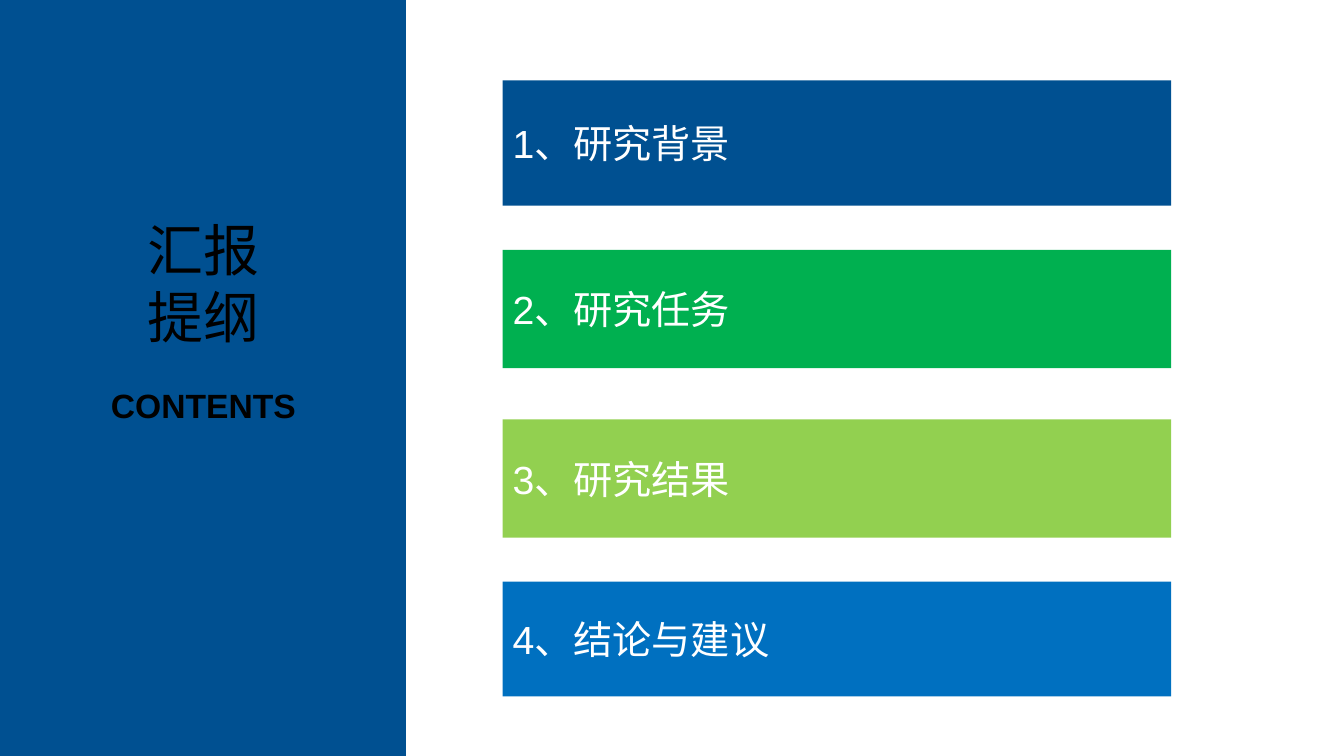
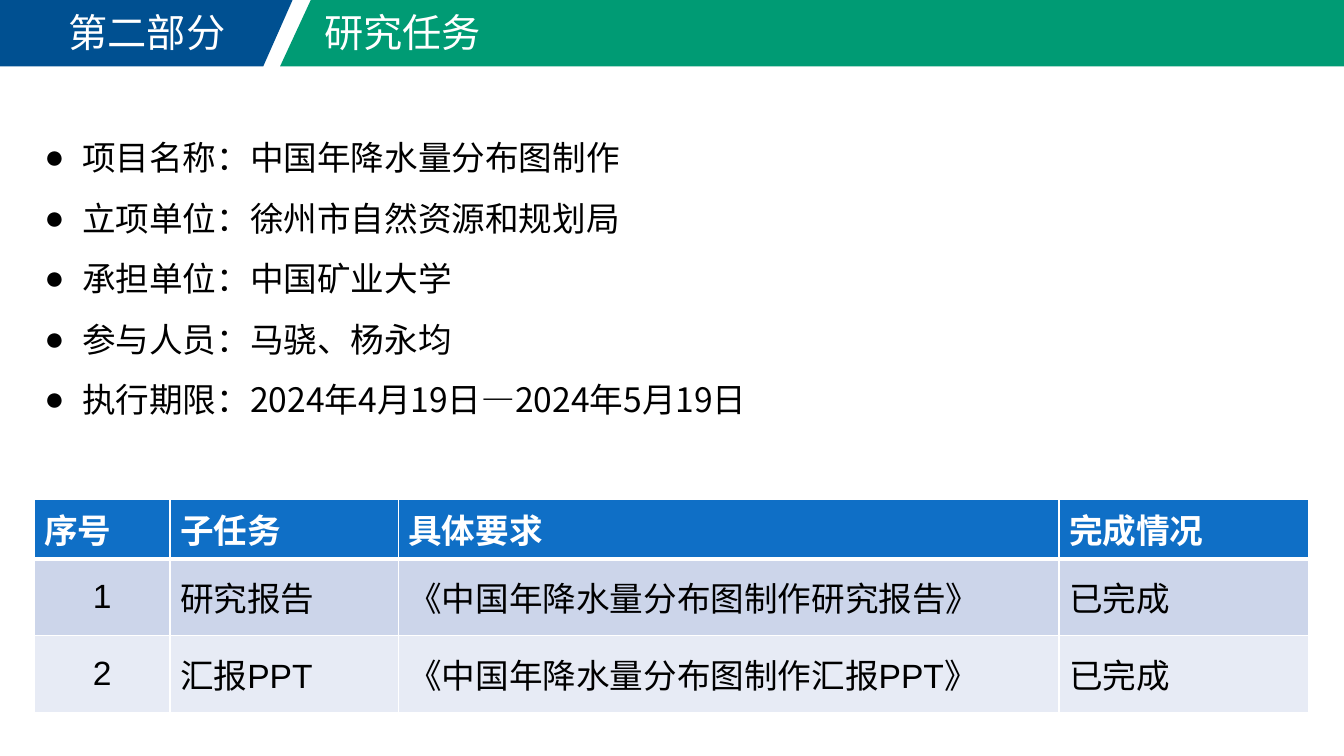
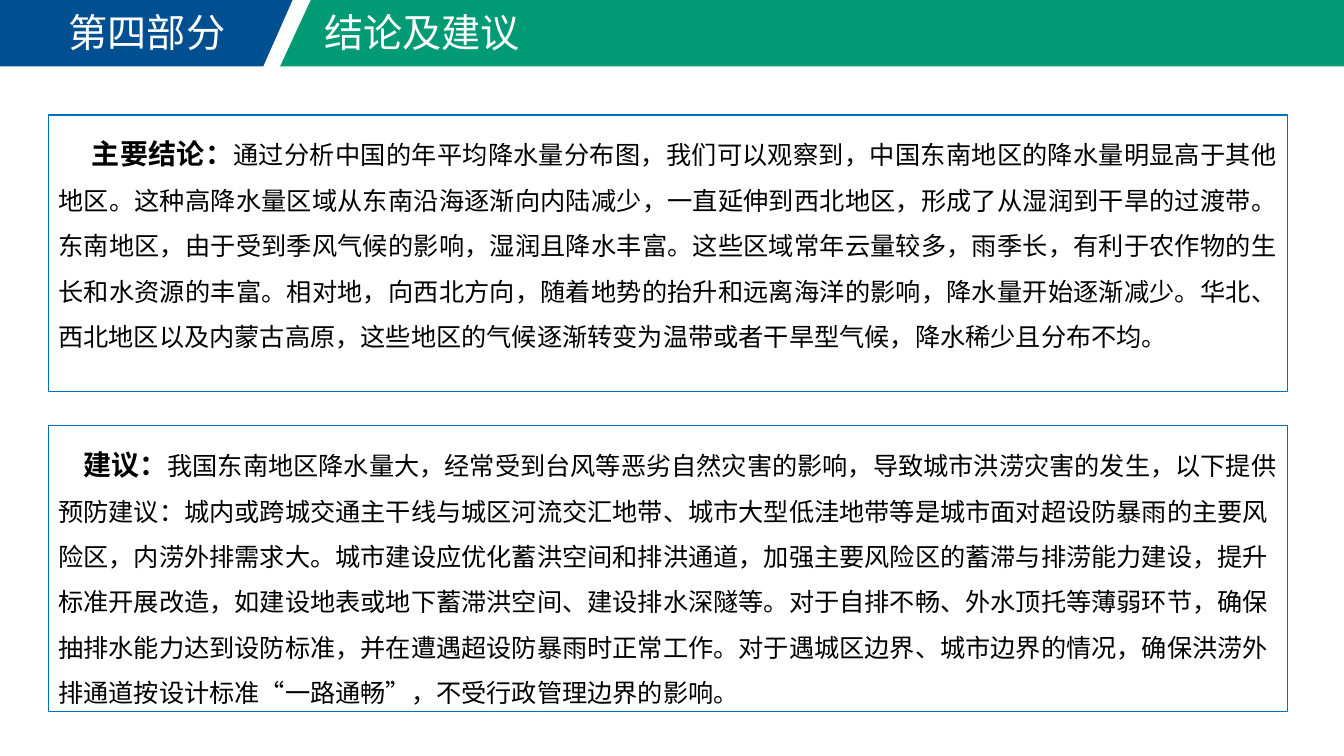
import dataclasses

import lxml.etree
import pptx
import pptx.dml.color
import pptx.enum.shapes
import pptx.enum.text
import pptx.oxml.ns
import pptx.util

Pt = pptx.util.Pt
RGB = pptx.dml.color.RGBColor.from_string
ALIGN = pptx.enum.text.PP_ALIGN
ANCHOR = pptx.enum.text.MSO_ANCHOR
RECTANGLE = pptx.enum.shapes.MSO_SHAPE.RECTANGLE
NO_AUTOFIT = pptx.enum.text.MSO_AUTO_SIZE.NONE
qn = pptx.oxml.ns.qn


@dataclasses.dataclass(frozen=True)
class Theme:
    navy: str = "005091"
    teal: str = "009B74"
    green: str = "00B050"
    lime: str = "92D050"
    blue: str = "0070C0"
    table_head: str = "0F6FC6"
    table_rows: tuple = ("CCD5EA", "E7EBF5")
    white: str = "FFFFFF"
    black: str = "000000"
    latin: str = "Arial"
    chinese: str = "Noto Sans CJK SC"
    serif: str = "Times New Roman"
    cover: int = 40
    heading: int = 28
    text: int = 24
    lead: int = 20
    prose: int = 18


theme = Theme()


def add_run(paragraph, text, size, color=theme.black, font=theme.latin, bold=False):
    run = paragraph.add_run()
    run.text = text
    run.font.size = Pt(size)
    run.font.bold = bold
    run.font.color.rgb = RGB(color)
    run.font.name = font
    properties = run.font._element
    properties.set("lang", "zh-CN")
    lxml.etree.SubElement(properties, qn("a:ea")).set("typeface", theme.chinese)


def paint(shape, fill, outline=None):
    shape.shadow.inherit = False
    shape.fill.solid()
    shape.fill.fore_color.rgb = RGB(fill)
    if outline:
        shape.line.color.rgb = RGB(outline)
        shape.line.width = Pt(1)
    else:
        shape.line.fill.background()


deck = pptx.Presentation()
deck.slide_width, deck.slide_height = Pt(960), Pt(540)
content_layout, title_layout = deck.slide_layouts[1], deck.slide_layouts[5]

# Contents slide: side panel with title
contents = deck.slides.add_slide(title_layout)
panel = contents.shapes.add_shape(RECTANGLE, 0, 0, Pt(290), Pt(540))
paint(panel, theme.navy)

# Contents slide: agenda bars
agenda = [
    ("1、研究背景", theme.navy, 57.5, 89.5),
    ("2、研究任务", theme.green, 178.5, 84.5),
    ("3、研究结果", theme.lime, 299.5, 84.5),
    ("4、结论与建议", theme.blue, 415.5, 82),
]
for entry, color, top, height in agenda:
    bar = contents.shapes.add_shape(RECTANGLE, Pt(359), Pt(top), Pt(477.5), Pt(height))
    paint(bar, color)
    bar.text_frame.vertical_anchor = ANCHOR.MIDDLE
    line = bar.text_frame.paragraphs[0]
    line.alignment = ALIGN.LEFT
    add_run(line, entry, theme.heading, theme.white)

subtitle = contents.shapes.add_textbox(Pt(68.5), Pt(271.5), Pt(153.5), Pt(36.5))
subtitle.text_frame.word_wrap = True
line = subtitle.text_frame.paragraphs[0]
line.alignment = ALIGN.CENTER
add_run(line, "CONTENTS", theme.text, bold=True)

cover_title = contents.shapes.title
cover_title.left, cover_title.top = Pt(89), Pt(150)
cover_title.width, cover_title.height = Pt(112.5), Pt(104.5)
cover_title.text_frame.auto_size = NO_AUTOFIT
cover_title.text_frame.vertical_anchor = ANCHOR.TOP
line = cover_title.text_frame.paragraphs[0]
line.alignment = ALIGN.CENTER
add_run(line, "汇报提纲", theme.cover)
# The title lies in front of the panel
cover_title.element.getparent().append(cover_title.element)

# Section slides: slanted header bands, part label and title
bands = [
    (theme.navy, [(0, 0), (209, 0), (188, 47.5), (0, 47.5)]),
    (theme.teal, [(222, 0), (960, 0), (960, 47.5), (200, 47.5)]),
]
sections = [
    (content_layout, "第二部分", "研究任务"),
    (title_layout, "第四部分", "结论及建议"),
]
section_slides = []
for layout, part, heading in sections:
    section = deck.slides.add_slide(layout)
    section_slides.append(section)
    for color, corners in bands:
        start, *others = [(Pt(x), Pt(y)) for x, y in corners]
        outline = section.shapes.build_freeform(*start)
        outline.add_line_segments(others, close=True)
        paint(outline.convert_to_shape(), color)

    label = section.shapes.add_textbox(Pt(24.5), Pt(6), Pt(161), Pt(34))
    frame = label.text_frame
    frame.word_wrap = True
    frame.margin_left = frame.margin_right = frame.margin_top = frame.margin_bottom = 0
    frame.paragraphs[0].alignment = ALIGN.CENTER
    add_run(frame.paragraphs[0], part, theme.heading, theme.white)

    title = section.shapes.title
    title.left, title.top = Pt(224.5), Pt(2)
    title.width, title.height = Pt(theme.heading * len(heading) + 15), Pt(41)
    title.text_frame.auto_size = NO_AUTOFIT
    title.text_frame.word_wrap = False
    title.text_frame.vertical_anchor = ANCHOR.TOP
    title.text_frame.paragraphs[0].alignment = ALIGN.LEFT
    add_run(title.text_frame.paragraphs[0], heading, theme.heading, theme.white)
    title.element.getparent().append(title.element)

tasks, conclusions = section_slides

# Task slide: project facts
facts = [
    "项目名称：中国年降水量分布图制作",
    "立项单位：徐州市自然资源和规划局",
    "承担单位：中国矿业大学",
    "参与人员：马骁、杨永均",
    "执行期限：2024年4月19日—2024年5月19日",
]
fact_list = tasks.placeholders[1]
fact_list.left, fact_list.top = Pt(24.5), Pt(80)
fact_list.width, fact_list.height = Pt(919.5), Pt(219)
fact_list.text_frame.auto_size = NO_AUTOFIT
for number, fact in enumerate(facts):
    frame = fact_list.text_frame
    line = frame.add_paragraph() if number else frame.paragraphs[0]
    line.line_spacing = 1.5
    line.space_before = Pt(0)
    bullet = lxml.etree.SubElement(line._p.get_or_add_pPr(), qn("a:buChar"))
    bullet.set("char", "●")
    add_run(line, fact, theme.text, font=theme.chinese)

# Task slide: subtask table
subtasks = [
    ("序号", "子任务", "具体要求", "完成情况"),
    ("1", "研究报告", "《中国年降水量分布图制作研究报告》", "已完成"),
    ("2", "汇报PPT", "《中国年降水量分布图制作汇报PPT》", "已完成"),
]
column_widths = (97, 163, 472, 178)
row_heights = (36, 55, 55)
subtask_table = tasks.shapes.add_table(
    len(row_heights), len(column_widths), Pt(24.5), Pt(357),
    Pt(sum(column_widths)), Pt(sum(row_heights))).table
for column, width in zip(subtask_table.columns, column_widths):
    column.width = Pt(width)
for r, (entries, height) in enumerate(zip(subtasks, row_heights)):
    subtask_table.rows[r].height = Pt(height)
    is_head = r == 0
    borders = {"L": 1, "R": 1, "T": 3 if r == 1 else 1, "B": 3 if is_head else 1}
    for c, entry in enumerate(entries):
        cell = subtask_table.cell(r, c)
        for side, weight in borders.items():
            border = lxml.etree.SubElement(cell._tc.get_or_add_tcPr(), qn("a:ln" + side))
            border.set("w", str(Pt(weight)))
            border_fill = lxml.etree.SubElement(border, qn("a:solidFill"))
            lxml.etree.SubElement(border_fill, qn("a:srgbClr")).set("val", theme.white)
        cell.fill.solid()
        cell.fill.fore_color.rgb = RGB(theme.table_head if is_head else theme.table_rows[r - 1])
        cell.vertical_anchor = ANCHOR.TOP if is_head else ANCHOR.MIDDLE
        line = cell.text_frame.paragraphs[0]
        line.alignment = ALIGN.CENTER if c == 0 and not is_head else ALIGN.LEFT
        add_run(line, entry, theme.text, theme.white if is_head else theme.black, bold=is_head)

# Conclusion slide: framed paragraphs
statements = [
    (82, 197.5, 24, ALIGN.JUSTIFY, "主要结论：",
     "通过分析中国的年平均降水量分布图，我们可以观察到，中国东南地区的降水量明显高于其他地区。"
     "这种高降水量区域从东南沿海逐渐向内陆减少，一直延伸到西北地区，形成了从湿润到干旱的过渡带。"
     "东南地区，由于受到季风气候的影响，湿润且降水丰富。"
     "这些区域常年云量较多，雨季长，有利于农作物的生长和水资源的丰富。"
     "相对地，向西北方向，随着地势的抬升和远离海洋的影响，降水量开始逐渐减少。"
     "华北、西北地区以及内蒙古高原，这些地区的气候逐渐转变为温带或者干旱型气候，降水稀少且分布不均。"),
    (304, 204.5, 18, ALIGN.LEFT, "建议：",
     "我国东南地区降水量大，经常受到台风等恶劣自然灾害的影响，导致城市洪涝灾害的发生，以下提供预防建议："
     "城内或跨城交通主干线与城区河流交汇地带、城市大型低洼地带等是城市面对超设防暴雨的主要风险区，内涝外排需求大。"
     "城市建设应优化蓄洪空间和排洪通道，加强主要风险区的蓄滞与排涝能力建设，提升标准开展改造，"
     "如建设地表或地下蓄滞洪空间、建设排水深隧等。"
     "对于自排不畅、外水顶托等薄弱环节，确保抽排水能力达到设防标准，并在遭遇超设防暴雨时正常工作。"
     "对于遇城区边界、城市边界的情况，确保洪涝外排通道按设计标准“一路通畅”，不受行政管理边界的影响。"),
]
for top, height, indent, alignment, lead, prose in statements:
    statement = conclusions.shapes.add_shape(RECTANGLE, Pt(34.5), Pt(top), Pt(885), Pt(height))
    paint(statement, theme.white, theme.blue)
    statement.text_frame.vertical_anchor = ANCHOR.TOP
    line = statement.text_frame.paragraphs[0]
    line.alignment = alignment
    line.line_spacing = 1.5
    line._p.get_or_add_pPr().set("indent", str(Pt(indent)))
    add_run(line, lead, theme.lead, bold=True)
    add_run(line, prose, theme.prose, font=theme.serif)

deck.save("out.pptx")
